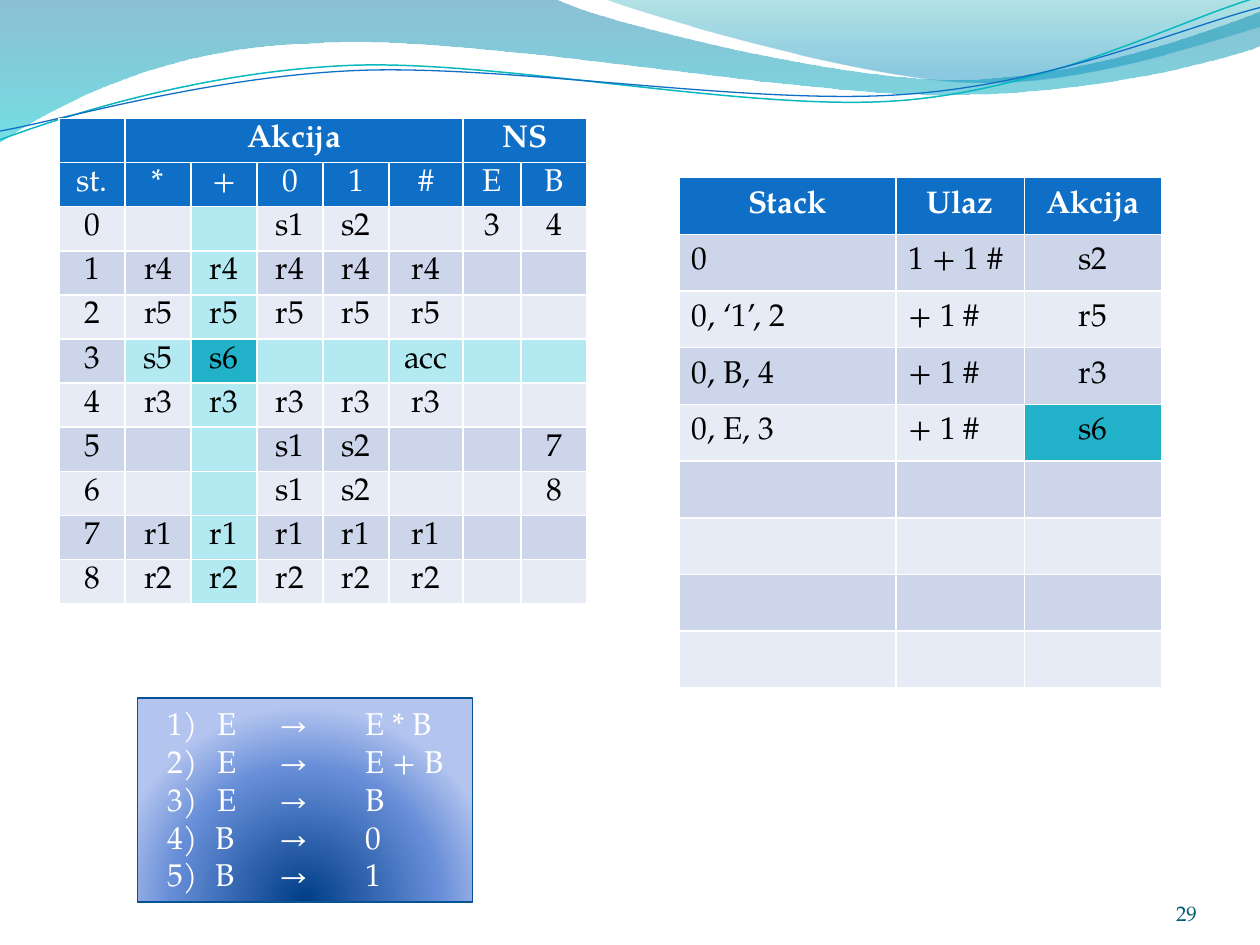
import pptx
import pptx.dml.color
import pptx.enum.shapes
import pptx.enum.text
import pptx.oxml
import pptx.oxml.ns
import pptx.util

Inches = pptx.util.Inches
RGBColor = pptx.dml.color.RGBColor
ALIGN = pptx.enum.text.PP_ALIGN
ANCHOR = pptx.enum.text.MSO_ANCHOR

FONT = "TeX Gyre Pagella"
WHITE = RGBColor(0xFF, 0xFF, 0xFF)
BLACK = RGBColor(0, 0, 0)
BLUE = RGBColor(0x0F, 0x6F, 0xC6)
NAVY = RGBColor(0x09, 0x52, 0x95)
TEAL = RGBColor(0x0A, 0xB8, 0xBF)
PAGE_NUMBER = RGBColor(0x04, 0x5D, 0x75)
LIGHT = RGBColor(0xE7, 0xEB, 0xF5)
DARK = RGBColor(0xCC, 0xD5, 0xEA)
TRACE = RGBColor(0xB3, 0xEA, 0xF2)
CURRENT = RGBColor(0x21, 0xB2, 0xC9)


def xml(tag, body="", attributes=""):
    namespace = pptx.oxml.ns.nsdecls("a")
    return pptx.oxml.parse_xml(f"<a:{tag} {namespace} {attributes}>{body}</a:{tag}>")


def write(paragraph, text, size=18, color=BLACK, bold=False, align=ALIGN.LEFT):
    """Put text into a paragraph; a vertical tab in it is a line break."""
    paragraph.alignment = align
    paragraph.text = text
    for span in paragraph.runs:
        span.font.name = FONT
        span.font.size = pptx.util.Pt(size)
        span.font.bold = bold
        span.font.color.rgb = color


def gradient(shape, stops, direction):
    """Stops are (position %, colour, opacity %)."""
    stop_xml = "".join(
        f'<a:gs pos="{place * 1000}"><a:srgbClr val="{color}">'
        f'<a:alpha val="{opacity * 1000}"/></a:srgbClr></a:gs>'
        for place, color, opacity in stops)
    shape.fill.background()
    old = shape._element.spPr.find(pptx.oxml.ns.qn("a:noFill"))
    old.getparent().replace(old, xml("gradFill", f"<a:gsLst>{stop_xml}</a:gsLst>{direction}"))


class SlideBuilder:
    def __init__(self):
        self.deck = pptx.Presentation()
        self.deck.slide_width, self.deck.slide_height = Inches(10), Inches(7.5)
        self.page = self.deck.slides.add_slide(self.deck.slide_layouts[6])

    def curve(self, start, segments, closed):
        """Segments are line ends (x, y) or cubic curves (six numbers)."""
        builder = self.page.shapes.build_freeform(*map(Inches, start))
        for segment in segments:
            lengths = [Inches(value) for value in segment]
            builder.add_line_segments(list(zip(lengths[::2], lengths[1::2])), close=False)
        if closed:
            builder.add_line_segments([], close=True)
        shape = builder.convert_to_shape()
        shape.shadow.inherit = False
        # Join each three points of a cubic segment into one curve
        lines = iter(list(shape._element.iter(pptx.oxml.ns.qn("a:lnTo"))))
        for segment in segments:
            parts = [next(lines) for _ in range(len(segment) // 2)]
            if len(parts) == 3:
                cubic = xml("cubicBezTo")
                parts[0].addprevious(cubic)
                for part in parts:
                    cubic.append(part[0])
                    part.getparent().remove(part)
        return shape

    def wave(self, start, segments, stops):
        shape = self.curve(start, segments, True)
        shape.line.fill.background()
        gradient(shape, stops, '<a:lin ang="5400000" scaled="0"/>')

    def wave_line(self, start, segments, color, width):
        shape = self.curve(start, segments, False)
        shape.fill.background()
        shape.line.color.rgb = color
        shape.line.width = pptx.util.Pt(width)

    def text(self, text, left, top, width, height, **style):
        frame = self.page.shapes.add_textbox(
            Inches(left), Inches(top), Inches(width), Inches(height)).text_frame
        frame.word_wrap = True
        frame.margin_left = frame.margin_right = frame.margin_top = frame.margin_bottom = 0
        frame.vertical_anchor = ANCHOR.BOTTOM
        write(frame.paragraphs[0], text, **style)

    def rules_box(self, left, top, width, height, paragraphs):
        """Paragraphs are (text, automatic number or None)."""
        box = self.page.shapes.add_shape(
            pptx.enum.shapes.MSO_SHAPE.RECTANGLE,
            Inches(left), Inches(top), Inches(width), Inches(height))
        gradient(box, [(0, "003D87", 100), (68, "668DD7", 100), (100, "B3C4EF", 100)],
                 '<a:path path="circle"><a:fillToRect l="50000" t="130000" '
                 'r="50000" b="-30000"/></a:path>')
        box.line.color.rgb = NAVY
        box.line.width = pptx.util.Pt(0.75)
        box.shadow.inherit = False
        frame = box.text_frame
        frame.word_wrap = False
        frame.vertical_anchor = ANCHOR.TOP
        frame.margin_left = Inches(0.24)
        tabs = "".join(f'<a:tab pos="{Inches(place)}" algn="l"/>' for place in (0.4, 0.89, 1.57))
        for index, (text, number) in enumerate(paragraphs):
            paragraph = frame.add_paragraph() if index else frame.paragraphs[0]
            properties = paragraph._p.get_or_add_pPr()
            if number:
                properties.set("marL", str(Inches(0.38)))
                properties.set("indent", str(-Inches(0.38)))
                properties.append(xml("buFont", attributes='typeface="+mj-lt"'))
                properties.append(xml("buAutoNum", attributes=f'type="arabicParenR" startAt="{number}"'))
            properties.append(xml("tabLst", tabs))
            write(paragraph, text, color=WHITE)

    def table(self, left, top, widths, row_height, rows, fill_of, headers=1,
              left_columns=(), merges=()):
        """The default table style draws the white borders."""
        grid = self.page.shapes.add_table(
            len(rows), len(widths), Inches(left), Inches(top),
            Inches(sum(widths)), Inches(row_height * len(rows))).table
        grid.horz_banding = False
        for column, width in zip(grid.columns, widths):
            column.width = Inches(width)
        for r, row in enumerate(rows):
            grid.rows[r].height = Inches(row_height)
            for c, text in enumerate(row):
                cell = grid.cell(r, c)
                cell.margin_top = cell.margin_bottom = Inches(0.01)
                cell.vertical_anchor = ANCHOR.MIDDLE
                cell.fill.solid()
                cell.fill.fore_color.rgb = fill_of(r, c)
                write(cell.text_frame.paragraphs[0], text,
                      color=WHITE if r < headers else BLACK, bold=r == 0,
                      align=ALIGN.LEFT if r and c in left_columns else ALIGN.CENTER)
        for row, first, last in merges:
            grid.cell(row, first).merge(grid.cell(row, last))


def action_fill(row, column):
    if row < 2:
        return BLUE
    if (row, column) == (5, 2):
        return CURRENT
    if column == 2 or (row == 5 and column > 0):
        return TRACE
    return DARK if row % 2 else LIGHT


def stack_fill(row, column):
    if row == 0:
        return BLUE
    if (row, column) == (4, 2):
        return CURRENT
    return DARK if row % 2 else LIGHT


def main():
    slide = SlideBuilder()

    # Waves along the top
    slide.wave((0, 0), [(4.4, -0.01), (4.76, 0.17, 6.64, 0.63, 7.58, 0.63),
                        (8.53, 0.63, 9.58, 0.26, 10, 0.09), (10.01, 0.36),
                        (9.83, 0.44, 8.7, 0.76, 7.46, 0.75),
                        (6.22, 0.75, 3.82, 0.28, 2.57, 0.34),
                        (1.29, 0.36, 0.46, 0.83, -0.01, 1.13)],
               [(0, "0074A1", 45), (100, "00C6CF", 55)])
    slide.wave((4.79, -0.01), [(5.09, 0.11, 6.82, 0.62, 7.69, 0.65),
                               (8.56, 0.69, 9.61, 0.32, 10, 0.21), (10, 0)],
               [(0, "00A1A9", 30), (80, "008BBF", 45)])
    slide.wave_line((0, 1.11), [(0.48, 0.93, 1.58, 0.57, 2.77, 0.52),
                                (3.95, 0.47, 5.93, 0.89, 7.13, 0.8),
                                (8.33, 0.71, 9.38, 0.15, 9.98, -0.02)], TEAL, 0.85)
    slide.wave_line((0, 1.04), [(0.47, 0.96, 1.64, 0.61, 2.83, 0.56),
                                (4.03, 0.51, 5.97, 0.84, 7.17, 0.75),
                                (8.36, 0.67, 9.41, 0.21, 10, 0.06)], BLUE, 0.75)

    # Parser action table: each reduce state repeats its action in five columns
    shift = ["", "", "s1", "s2", ""]
    action_rows = [
        ["", "Akcija", "", "", "", "", "NS", ""], ["st.", "*", "+", "0", "1", "#", "E", "B"],
        ["0", *shift, "3", "4"], ["1", *["r4"] * 5, "", ""], ["2", *["r5"] * 5, "", ""],
        ["3", "s5", "s6", "", "", "acc", "", ""], ["4", *["r3"] * 5, "", ""],
        ["5", *shift, "", "7"], ["6", *shift, "", "8"],
        ["7", *["r1"] * 5, "", ""], ["8", *["r2"] * 5, "", ""],
    ]
    narrow = (4.19 - 0.59 - 0.46) / 6
    slide.table(0.47, 0.94, [narrow] * 5 + [0.59, 0.46, narrow], 0.35, action_rows,
                action_fill, headers=2, merges=[(0, 1, 5), (0, 6, 7)])

    # Page number and grammar rules
    slide.text("29", 8.67, 6.95, 0.83, 0.4, size=12, color=PAGE_NUMBER, align=ALIGN.RIGHT)
    slide.rules_box(1.09, 5.54, 2.66, 1.62, [
        ("1) \tE\t→\tE * B\v2) \tE\t→ \tE + B\v3) \tE\t→ \tB", None),
        ("B\t→\t0", 4), ("B\t→\t1", 4)])

    # Parsing steps
    steps = [["Stack", "Ulaz", "Akcija"], ["0", "1 + 1 #", "s2"], ["0, ‘1’, 2", "+ 1 #", "r5"],
             ["0, B, 4", "+ 1 #", "r3"], ["0, E, 3", "+ 1 #", "s6"]] + [[""] * 3] * 4
    slide.table(5.39, 1.41, [1.72, 1.02, 1.09], 0.45, steps, stack_fill, left_columns=(0, 1))

    slide.deck.save("out.pptx")


if __name__ == "__main__":
    main()
